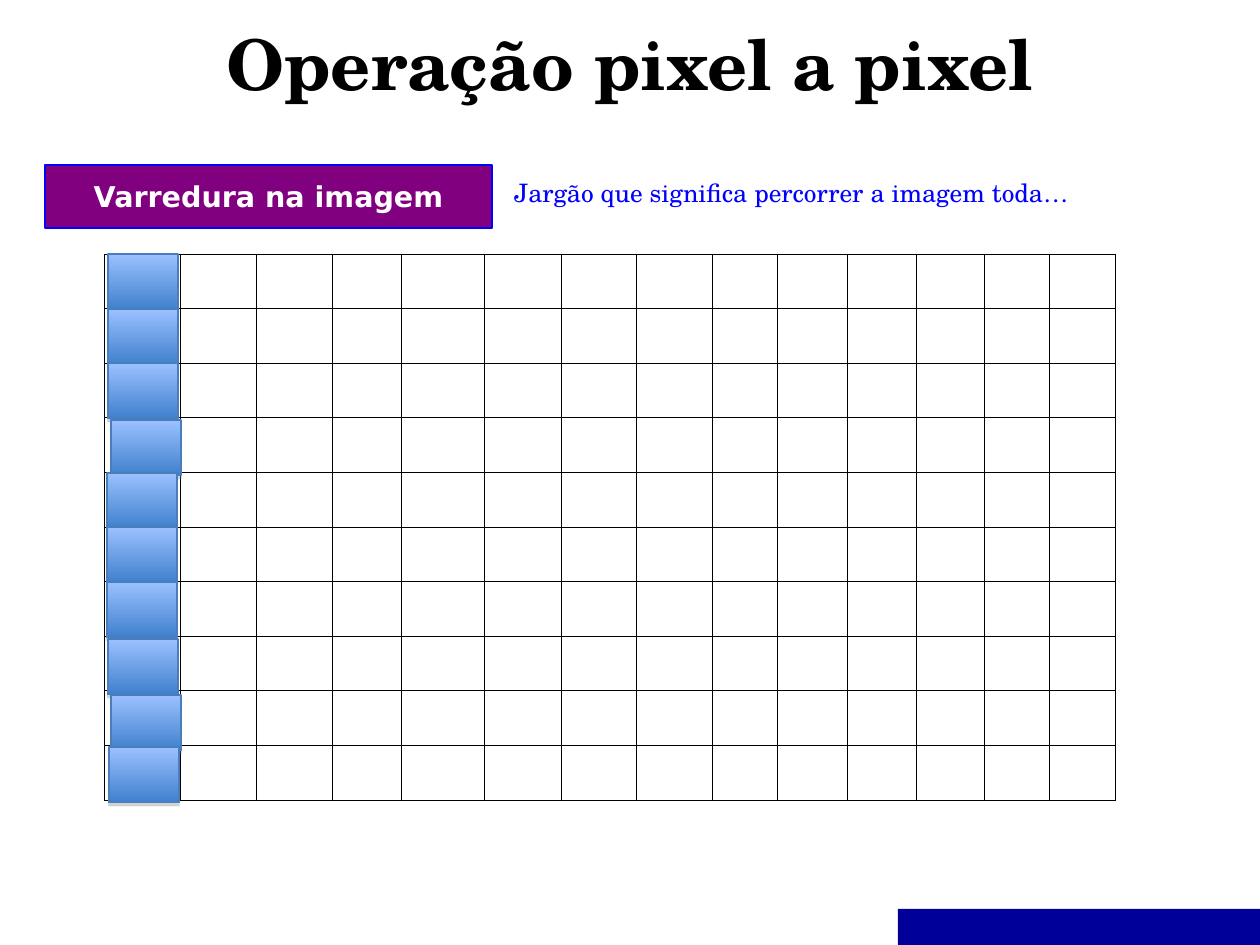
from dataclasses import dataclass

from lxml.etree import SubElement
from pptx import Presentation
from pptx.dml.color import RGBColor
from pptx.enum.shapes import MSO_SHAPE
from pptx.enum.text import MSO_ANCHOR, MSO_AUTO_SIZE, PP_ALIGN
from pptx.oxml.ns import qn
from pptx.util import Emu, Pt


@dataclass(frozen=True)
class Theme:
    serif: str = "TeX Gyre Schola"
    sans: str = "DejaVu Sans"
    black: str = "000000"
    white: str = "FFFFFF"
    blue: str = "0000FF"
    navy: str = "000099"
    purple: str = "800080"
    pixel_top: str = "9BC1FF"
    pixel_bottom: str = "3F80CD"
    pixel_line: str = "4A7EBB"
    shadow: str = "808080"
    title_size: int = 44
    label_size: int = 18
    note_size: int = 16


THEME = Theme()
EMU_PER_PX = 8000
SLIDE_SIZE = (1260, 945)
GRID_COLUMNS = (76, 76, 76, 69, 83, 77, 76, 76, 65, 70, 69, 68, 65, 66)
GRID_ROWS = 10
PIXEL_SIZE = (70, 56)
PIXEL_OFFSETS = ((4, 0), (4, 0), (4, 0), (7, 2), (3, 1),
                 (3, 0), (3, 0), (4, 3), (7, 4), (5, 2))


def px(n):
    return Emu(n * EMU_PER_PX)


def rgb(color):
    return RGBColor.from_string(color)


def write(sp, text, *, size, font, color, bold=False,
          align=PP_ALIGN.LEFT, anchor=MSO_ANCHOR.TOP, wrap=True):
    tf = sp.text_frame
    tf.auto_size = MSO_AUTO_SIZE.NONE
    tf.word_wrap = wrap
    tf.vertical_anchor = anchor
    tf.margin_left = tf.margin_right = Pt(7.2)
    tf.margin_top = tf.margin_bottom = Pt(3.6)
    p = tf.paragraphs[0]
    p.alignment = align
    r = p.add_run()
    r.text = text
    r.font.size = Pt(size)
    r.font.name = font
    r.font.bold = bold
    r.font.color.rgb = rgb(color)


def add_rect(s, box, fill=None, line=None):
    sp = s.shapes.add_shape(MSO_SHAPE.RECTANGLE, *map(px, box))
    sp.shadow.inherit = False
    if fill:
        sp.fill.solid()
        sp.fill.fore_color.rgb = rgb(fill)
    if line:
        sp.line.color.rgb = rgb(line)
        sp.line.width = Pt(0.75)
    else:
        sp.line.fill.background()
    return sp


def add_title(s, box):
    sp = s.shapes.title
    sp.left, sp.top, sp.width, sp.height = map(px, box)
    write(sp, "Operação pixel a pixel", size=THEME.title_size, font=THEME.serif,
          color=THEME.black, bold=True, align=PP_ALIGN.CENTER)


def add_heading(s, box):
    x, y, w, h = box
    label = add_rect(s, (x, y, 447, h), THEME.purple, THEME.blue)
    write(label, "Varredura na imagem", size=THEME.label_size, font=THEME.sans,
          color=THEME.white, bold=True, align=PP_ALIGN.CENTER,
          anchor=MSO_ANCHOR.MIDDLE, wrap=False)
    note = s.shapes.add_textbox(px(x + 458), px(y + 7), px(w - 458), px(42))
    write(note, "Jargão que significa percorrer a imagem toda…",
          size=THEME.note_size, font=THEME.serif, color=THEME.blue)


def format_cell(cell):
    tc_pr = cell._tc.get_or_add_tcPr()
    for side in ("lnL", "lnR", "lnT", "lnB"):
        ln = SubElement(tc_pr, qn(f"a:{side}"), w=str(Pt(0.45)))
        fill = SubElement(ln, qn("a:solidFill"))
        SubElement(fill, qn("a:srgbClr"), val=THEME.black)
    cell.fill.background()


def add_grid(s, box):
    frame = s.shapes.add_table(GRID_ROWS, len(GRID_COLUMNS), *map(px, box))
    table = frame.table
    table.first_row = table.horz_banding = False
    for column, width in zip(table.columns, GRID_COLUMNS):
        column.width = px(width)
    for row in table.rows:
        row.height = px(box[3]) // GRID_ROWS
    for cell in table.iter_cells():
        format_cell(cell)


def add_pixel(s, box):
    sp = add_rect(s, box, line=THEME.pixel_line)
    sp.fill.gradient()
    sp.fill.gradient_angle = 270
    colors = (THEME.pixel_top, THEME.pixel_bottom)
    for position, (stop, color) in enumerate(zip(sp.fill.gradient_stops, colors)):
        stop.position = position
        stop.color.rgb = rgb(color)
    effects = sp._element.spPr.find(qn("a:effectLst"))
    shadow = SubElement(effects, qn("a:outerShdw"), blurRad="0",
                        dist=str(Pt(1.8)), dir="5400000", rotWithShape="0")
    color = SubElement(shadow, qn("a:srgbClr"), val=THEME.shadow)
    SubElement(color, qn("a:alpha"), val="35000")


def add_scan(s, box):
    x, y, w, h = box
    for row, (dx, dy) in enumerate(PIXEL_OFFSETS):
        top = y + round(row * h / GRID_ROWS) + dy
        add_pixel(s, (x + dx, top, *PIXEL_SIZE))


def main():
    prs = Presentation()
    prs.slide_width, prs.slide_height = map(px, SLIDE_SIZE)
    s = prs.slides.add_slide(prs.slide_layouts[5])
    grid_box = (104, 254, sum(GRID_COLUMNS), 546)
    add_rect(s, (898, 909, 362, 36), THEME.navy)
    add_grid(s, grid_box)
    add_heading(s, (45, 165, 1143, 63))
    add_scan(s, grid_box)
    add_title(s, (0, 15, 1260, 105))
    prs.save("out.pptx")


if __name__ == "__main__":
    main()
